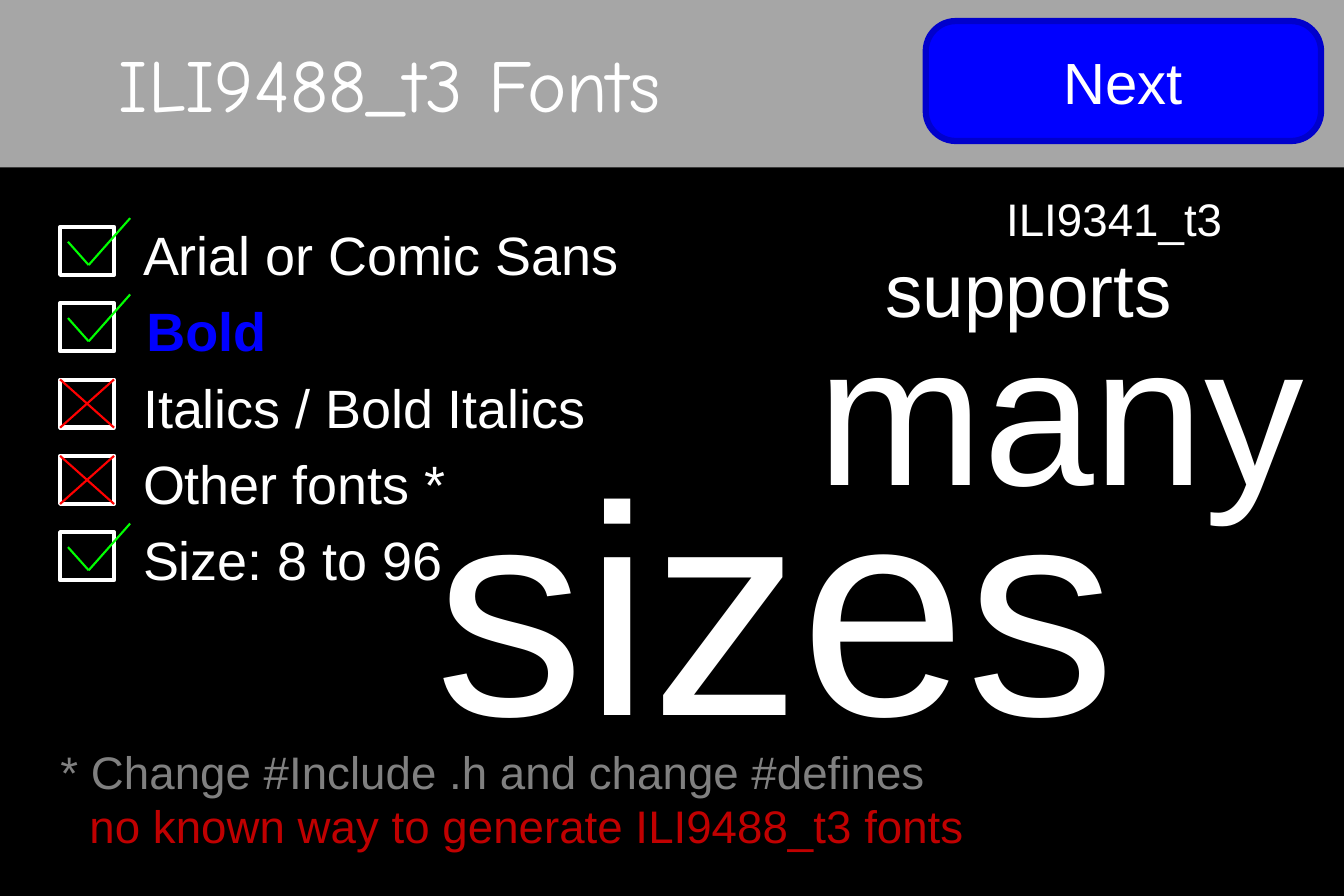
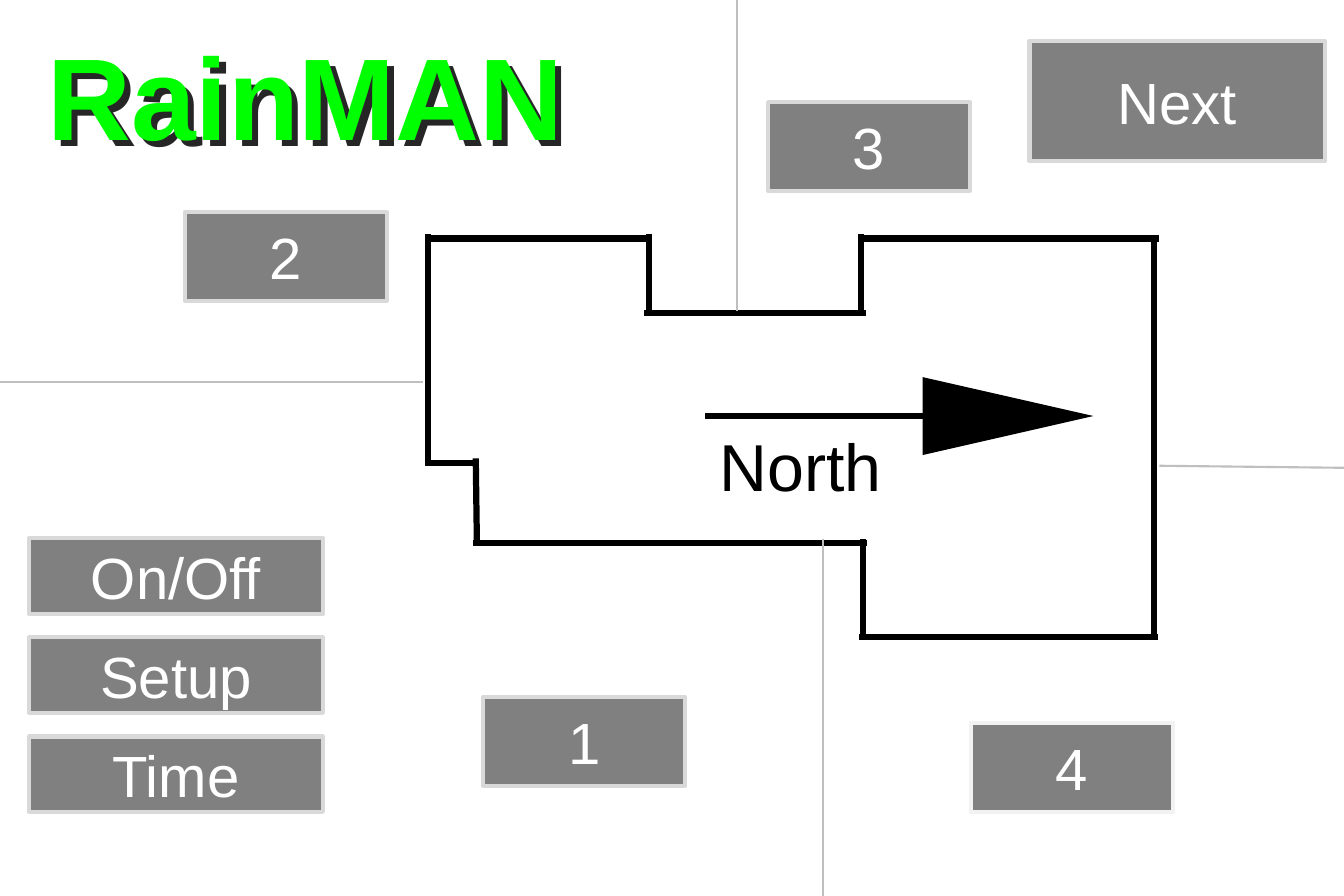
from dataclasses import dataclass

from lxml import etree
from pptx import Presentation
from pptx.dml.color import RGBColor
from pptx.enum.shapes import MSO_CONNECTOR, MSO_SHAPE
from pptx.enum.text import MSO_ANCHOR, PP_ALIGN
from pptx.oxml.ns import qn
from pptx.util import Pt

STRAIGHT = MSO_CONNECTOR.STRAIGHT
RECTANGLE = MSO_SHAPE.RECTANGLE
ROUNDED = MSO_SHAPE.ROUNDED_RECTANGLE
TRIANGLE = MSO_SHAPE.ISOSCELES_TRIANGLE
TOP, MIDDLE = MSO_ANCHOR.TOP, MSO_ANCHOR.MIDDLE
LEFT, CENTER = PP_ALIGN.LEFT, PP_ALIGN.CENTER


@dataclass(frozen=True)
class Theme:
    # Colours
    black: RGBColor = RGBColor(0x00, 0x00, 0x00)
    white: RGBColor = RGBColor(0xFF, 0xFF, 0xFF)
    band: RGBColor = RGBColor(0xA6, 0xA6, 0xA6)
    blue: RGBColor = RGBColor(0x00, 0x00, 0xFF)
    blue_edge: RGBColor = RGBColor(0x00, 0x00, 0xCC)
    green: RGBColor = RGBColor(0x00, 0xFF, 0x00)
    red: RGBColor = RGBColor(0xFF, 0x00, 0x00)
    warning: RGBColor = RGBColor(0xC0, 0x00, 0x00)
    gray: RGBColor = RGBColor(0x80, 0x80, 0x80)
    edge: RGBColor = RGBColor(0xD9, 0xD9, 0xD9)
    pale_edge: RGBColor = RGBColor(0xF2, 0xF2, 0xF2)
    divider: RGBColor = RGBColor(0xBF, 0xBF, 0xBF)
    title_shadow: RGBColor = RGBColor(0x26, 0x26, 0x26)
    # Fonts and type sizes
    font: str = "Arial"
    title_font: str = "Comic Neue"
    note_size: int = 11
    item_size: int = 13
    button_size: int = 14
    direction_size: int = 16
    title_size: int = 18
    logo_size: int = 28
    large_size: int = 48
    huge_size: int = 72


THEME = Theme()


def write(shape, text, size, color, font=THEME.font, bold=False, align=LEFT,
          anchor=MIDDLE, wrap=True, inset=(0, 0)):
    frame = shape.text_frame
    paragraph = frame.paragraphs[0]
    run = paragraph.add_run()
    run.text = text
    across, down = Pt(inset[0]), Pt(inset[1])
    formats = {
        frame: {"word_wrap": wrap, "vertical_anchor": anchor,
                "margin_left": across, "margin_right": across,
                "margin_top": down, "margin_bottom": down},
        paragraph: {"alignment": align},
        run.font: {"name": font, "size": Pt(size), "bold": bold},
    }
    for target, values in formats.items():
        for attribute, value in values.items():
            setattr(target, attribute, value)
    run.font.color.rgb = color


def draw_line(slide, start, end, color, width):
    line = slide.shapes.add_connector(STRAIGHT, *map(Pt, start + end))
    line.line.color.rgb = color
    line.line.width = Pt(width)
    etree.SubElement(line._element.spPr, qn("a:effectLst"))


deck = Presentation()
deck.slide_width, deck.slide_height = Pt(324), Pt(216)
blank = deck.slide_layouts[6]
fonts_slide = deck.slides.add_slide(blank)
zones_slide = deck.slides.add_slide(blank)
for slide, color in ((fonts_slide, THEME.black), (zones_slide, THEME.white)):
    slide.background.fill.solid()
    slide.background.fill.fore_color.rgb = color

# Fonts slide: header band, title and Next button
band = fonts_slide.shapes.add_shape(RECTANGLE, 0, 0, deck.slide_width, Pt(40.4))
band.shadow.inherit = False
band.fill.solid()
band.fill.fore_color.rgb = THEME.band
band.line.fill.background()

title = fonts_slide.shapes.add_textbox(Pt(21.6), Pt(13), Pt(302.4), Pt(13.7))
write(title, "ILI9488_t3 Fonts", THEME.title_size, THEME.white,
      font=THEME.title_font, inset=(7.2, 3.6))

next_button = fonts_slide.shapes.add_shape(
    ROUNDED, Pt(223.2), Pt(5.1), Pt(95.3), Pt(28.9))
next_button.adjustments[0] = 0.25
next_button.shadow.inherit = False
next_button.fill.solid()
next_button.fill.fore_color.rgb = THEME.blue
next_button.line.color.rgb = THEME.blue_edge
next_button.line.width = Pt(1.5)
write(next_button, "Next", THEME.button_size, THEME.white, align=CENTER,
      inset=(7.2, 3.6))

# Feature checklist: label, supported, label left, colour
features = [
    ("Arial or Comic Sans", True, 34.5, THEME.white),
    ("Bold", True, 35.3, THEME.blue),
    ("Italics / Bold Italics", False, 34.5, THEME.white),
    ("Other fonts *", False, 34.5, THEME.white),
    ("Size: 8 to 96", True, 34.5, THEME.white),
]
LIST_TOP, ROW_PITCH = 54.7, 18.4
BOX_LEFT, BOX_WIDTH, BOX_HEIGHT = 14.5, 13, 11.6
for row, (label, supported, label_left, color) in enumerate(features):
    top = LIST_TOP + row * ROW_PITCH
    feature = fonts_slide.shapes.add_textbox(
        Pt(label_left), Pt(top), Pt(165), Pt(13))
    write(feature, label, THEME.item_size, color, bold=label == "Bold")

    checkbox = fonts_slide.shapes.add_shape(
        RECTANGLE, Pt(BOX_LEFT), Pt(top), Pt(BOX_WIDTH), Pt(BOX_HEIGHT))
    checkbox.shadow.inherit = False
    checkbox.fill.background()
    checkbox.line.color.rgb = THEME.white
    checkbox.line.width = Pt(1)

    right, bottom = BOX_LEFT + BOX_WIDTH, top + BOX_HEIGHT
    if supported:
        tip = (21.4, top + 9.2)
        strokes = [(tip, (31.4, top - 2.1)), (tip, (16.4, top + 3.6))]
    else:
        strokes = [((BOX_LEFT, bottom), (right, top)),
                   ((right, bottom), (BOX_LEFT, top))]
    for start, end in strokes:
        draw_line(fonts_slide, start, end,
                  THEME.green if supported else THEME.red, 0.5)

# Size samples and footnotes: left, top, width, height
captions = [
    ("ILI9341_t3", THEME.note_size, THEME.white, (242.6, 46.1, 77, 13)),
    ("supports", THEME.title_size, THEME.white, (213.5, 61.3, 88.6, 15.8)),
    ("many", THEME.large_size, THEME.white, (197, 82.1, 121, 31.7)),
    ("sizes", THEME.huge_size, THEME.white, (105, 113.8, 213, 59.8)),
    ("* Change #Include .h and change #defines", THEME.note_size, THEME.gray,
     (14.6, 179.5, 256.3, 13)),
    ("no known way to generate ILI9488_t3 fonts", THEME.note_size,
     THEME.warning, (21.6, 192.4, 256.3, 13)),
]
for text, size, color, place in captions:
    caption = fonts_slide.shapes.add_textbox(*map(Pt, place))
    write(caption, text, size, color)

# Zones slide: house walls
walls = [
    ((103.1, 112.3), (103.1, 56.4)),
    ((103.1, 57.5), (156.5, 57.5)),
    ((155.3, 75.4), (208.8, 75.4)),
    ((156.5, 75.4), (156.5, 56.4)),
    ((207.5, 75.4), (207.5, 56.4)),
    ((207.5, 57.5), (279.4, 57.5)),
    ((278.2, 154), (278.2, 57.5)),
    ((207.2, 153.6), (279.2, 153.6)),
    ((115, 131.5), (114.7, 110.5)),
    ((102.5, 111.7), (114.7, 111.7)),
    ((208, 154), (208, 130)),
    ((114, 130.9), (209, 130.9)),
]
for start, end in walls:
    draw_line(zones_slide, start, end, THEME.black, 1.5)

# Zone dividers
dividers = [
    ((0, 92), (102, 92)),
    ((177.7, 0), (177.7, 74.9)),
    ((279.5, 112.3), (325.4, 112.8)),
    ((198.4, 130), (198.4, 216)),
]
for start, end in dividers:
    draw_line(zones_slide, start, end, THEME.divider, 0.5)

# Zone and menu buttons: left, top, width, height
ZONE, MENU = (48.7, 21.4), (70.8, 18.2)
buttons = [
    ("Next", (248.2, 9.9, 71.2, 29), THEME.edge),
    ("1", (116.5, 168, *ZONE), THEME.edge),
    ("2", (44.6, 51.1, *ZONE), THEME.edge),
    ("3", (185.2, 24.6, *ZONE), THEME.edge),
    ("4", (234.1, 174.3, *ZONE), THEME.pale_edge),
]
for row, label in enumerate(("On/Off", "Setup", "Time")):
    buttons.append((label, (7.1, 129.8 + row * 23.9, *MENU), THEME.edge))
for label, place, edge in buttons:
    button = zones_slide.shapes.add_shape(RECTANGLE, *map(Pt, place))
    button.shadow.inherit = False
    button.fill.solid()
    button.fill.fore_color.rgb = THEME.gray
    button.line.color.rgb = edge
    button.line.width = Pt(1)
    write(button, label, THEME.button_size, THEME.white, align=CENTER,
          inset=(10, 5))

# North arrow
arrow_tip = zones_slide.shapes.add_shape(
    TRIANGLE, Pt(233.6), Pt(79.7), Pt(18.8), Pt(41.2))
arrow_tip.rotation = 90
arrow_tip.shadow.inherit = False
arrow_tip.fill.solid()
arrow_tip.fill.fore_color.rgb = THEME.black
arrow_tip.line.fill.background()
draw_line(zones_slide, (170, 100.3), (223.2, 100.3), THEME.black, 1.5)
north = zones_slide.shapes.add_textbox(Pt(173.5), Pt(102.6), Pt(44.6), Pt(18))
write(north, "North", THEME.direction_size, THEME.black, anchor=TOP, wrap=False)

# Name with its offset shadow
for left, top, color in ((13, 7.2, THEME.title_shadow), (11.5, 5.8, THEME.green)):
    name = zones_slide.shapes.add_textbox(Pt(left), Pt(top), Pt(144), Pt(30.2))
    write(name, "RainMAN", THEME.logo_size, color, bold=True, anchor=TOP,
          wrap=False)

deck.save("out.pptx")
